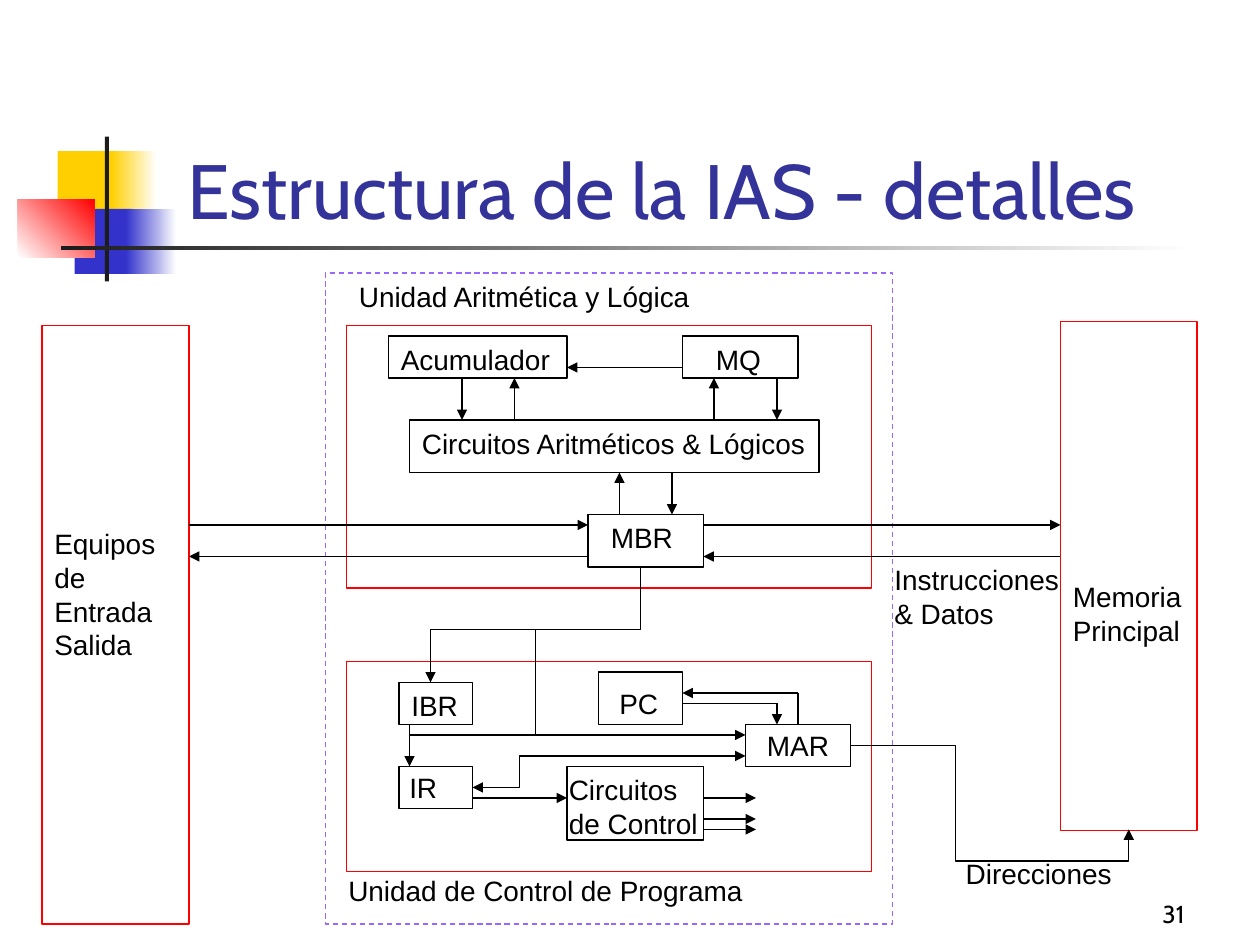
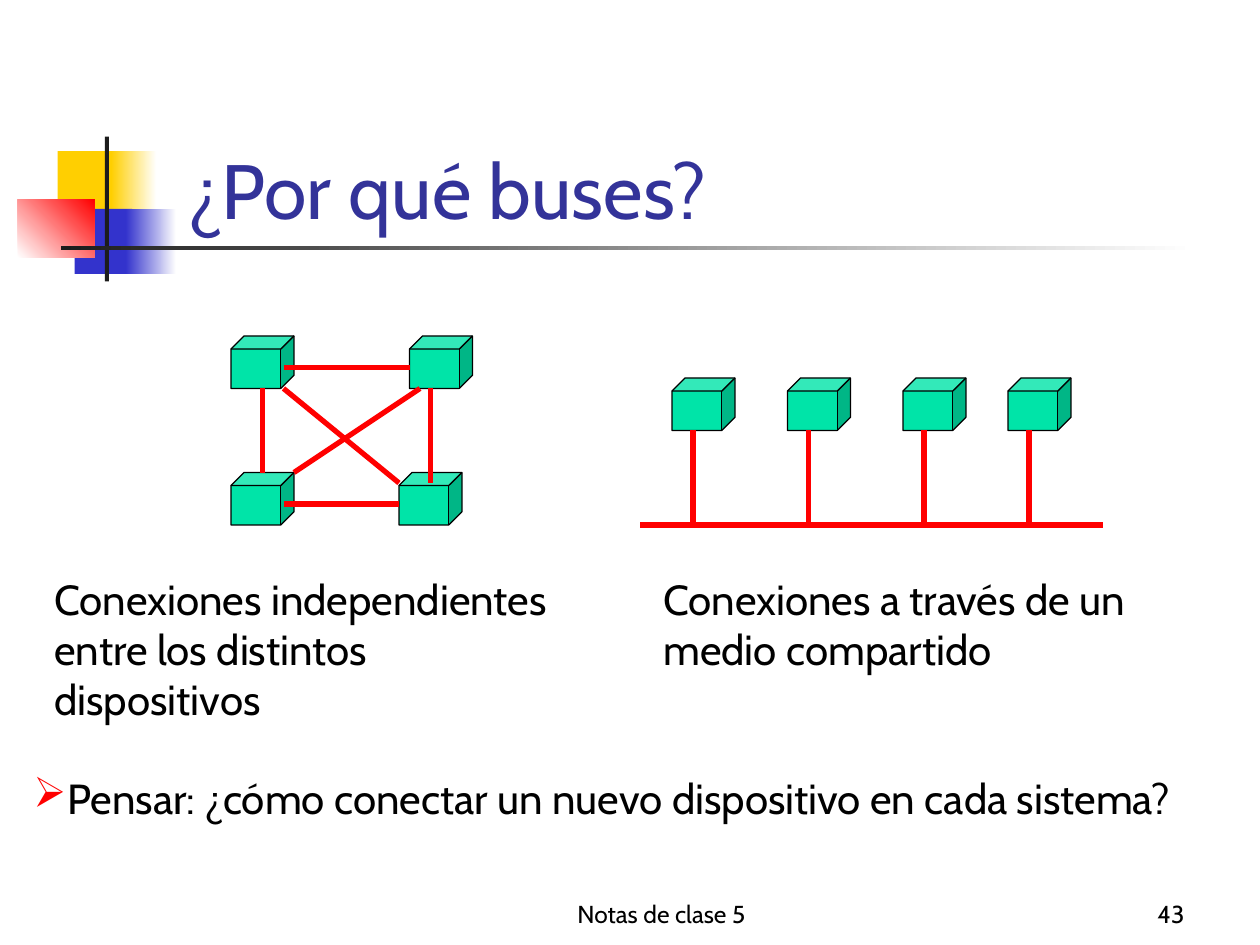
from lxml import etree
from pptx import Presentation
from pptx import util as u
from pptx.dml.color import RGBColor
from pptx.enum import dml, shapes, text
from pptx.oxml.ns import qn

COLUMNS, ROWS = 120, 90
COLORS = {
    "ink": "000000", "paper": "FFFFFF", "title": "333399", "rule": "1C1C1C",
    "yellow": "FFCF01", "blue": "3333CC", "red": "FF0000",
    "violet": "9966FF", "device": "00E4A8",
}
LEFT, CENTER, RIGHT = text.PP_ALIGN.LEFT, text.PP_ALIGN.CENTER, text.PP_ALIGN.RIGHT
TOP, BOTTOM = text.MSO_ANCHOR.TOP, text.MSO_ANCHOR.BOTTOM
RECT, CUBE = shapes.MSO_SHAPE.RECTANGLE, shapes.MSO_SHAPE.CUBE


def rgb(name):
    return RGBColor.from_string(COLORS[name])


class Deck:
    """Holds the style and the current slide; lengths are cells of a 120 x 90 grid."""

    def __init__(self):
        self.deck = Presentation()
        self.deck.slide_width, self.deck.slide_height = u.Inches(10), u.Inches(7.5)
        self.cell = self.deck.slide_width / COLUMNS
        self.layout = self.deck.slide_layouts[5]
        self.page = None

    def grid(self, *cells):
        return [u.Emu(round(cell * self.cell)) for cell in cells]

    def add_page(self, title, number, footer=None):
        first = self.page is None
        self.page = self.deck.slides.add_slide(self.layout)
        if first:
            self.decorate_layout()
        holder = self.page.shapes.title
        holder.left, holder.top, holder.width, holder.height = self.grid(15.1, 8, 102.2, 15)
        self.set_words(holder.text_frame, title, 44, "Cabin", color="title", anchor=BOTTOM)
        holder.text_frame.margin_left = u.Inches(0.23)
        if footer:
            self.label((44, 83, 38, 6), footer, 14, "Cabin", CENTER, BOTTOM, wrap=True)
        self.label((89, 83, 25, 6), number, 14, "Cabin", RIGHT, BOTTOM, wrap=True)

    def decorate_layout(self):
        """Draw the squares and rules, then move them to the layout all slides share."""
        for holder in list(self.layout.placeholders):
            if holder.placeholder_format.idx:
                holder.element.getparent().remove(holder.element)
        bands = [
            ((5.5, 14.4, 5.8, 6.2), "yellow", None, 0),
            ((10.6, 14.4, 4.3, 6.2), "yellow", "paper", 0),
            ((7.1, 19.9, 5.5, 6.2), "blue", None, 0),
            ((12, 19.9, 4.8, 6.2), "blue", "paper", 0),
            ((1.7, 19, 7.3, 5.5), "paper", "red", 45),
            ((10, 13, 0.38, 13.8), "rule", None, 0),
            ((5.8, 23.4, 108, 0.38), "rule", "paper", 0),
        ]
        for place, start, end, angle in bands:
            band = self.shape(place, fill=start, line=None)
            if end:
                band.fill.gradient()
                band.fill.gradient_angle = angle
                for stop, color in zip(band.fill.gradient_stops, (start, end)):
                    stop.color.rgb = rgb(color)
            self.layout.shapes.element.append(band.element)

    def set_words(self, frame, words, size, font, align=LEFT, anchor=TOP, color="ink", wrap=True):
        frame.text = words
        frame.word_wrap = wrap
        frame.auto_size = text.MSO_AUTO_SIZE.NONE
        frame.vertical_anchor = anchor
        for para in frame.paragraphs:
            para.alignment = align
            for span in para.runs:
                span.font.size, span.font.name = u.Pt(size), font
                span.font.color.rgb = rgb(color)

    def label(self, place, words, size=16, font="Arial", align=LEFT, anchor=TOP, wrap=False):
        box = self.page.shapes.add_textbox(*self.grid(*place))
        self.set_words(box.text_frame, words, size, font, align, anchor, wrap=wrap)
        return box

    def caption(self, place, words):
        para = self.label(place, words, 24, "Cabin", wrap=True).text_frame.paragraphs[0]
        para.space_before = u.Pt(15)
        return para

    def bullet(self, para, sign, color, indent):
        props = para._p.get_or_add_pPr()
        props.set("marL", str(u.Inches(indent)))
        props.set("indent", str(-u.Inches(indent)))
        tint = etree.SubElement(props, qn("a:buClr"))
        etree.SubElement(tint, qn("a:srgbClr"), val=COLORS[color])
        etree.SubElement(props, qn("a:buChar"), char=sign)

    def shape(self, place, kind=RECT, fill=None, line="ink"):
        shape = self.page.shapes.add_shape(kind, *self.grid(*place))
        shape.shadow.inherit = False
        if fill:
            shape.fill.solid()
            shape.fill.fore_color.rgb = rgb(fill)
        else:
            shape.fill.background()
        if line:
            shape.line.color.rgb = rgb(line)
            shape.line.width = u.Pt(0.75)
        else:
            shape.line.fill.background()
        return shape

    def line(self, ends, color="ink", width=0.75, arrows=("tailEnd",),
             kind=shapes.MSO_CONNECTOR.STRAIGHT):
        line = self.page.shapes.add_connector(kind, *self.grid(*ends))
        line.line.color.rgb = rgb(color)
        line.line.width = u.Pt(width)
        props = line.element.spPr
        for arrow in arrows:
            etree.SubElement(props.find(qn("a:ln")), qn(f"a:{arrow}"), type="triangle")
        etree.SubElement(props, qn("a:effectLst"))
        return line

    def elbow(self, ends, bends, turn=0, arrows=("tailEnd",)):
        """Bent arrow; bends are shares of its frame, which is turned by whole degrees."""
        line = self.line(ends, arrows=arrows, kind=shapes.MSO_CONNECTOR.ELBOW)
        props = line.element.spPr
        if turn:
            props.find(qn("a:xfrm")).set("rot", str(turn * 60000))
        preset = props.find(qn("a:prstGeom"))
        preset.set("prst", f"bentConnector{len(bends) + 2}")
        guides = preset.find(qn("a:avLst"))
        if guides is None:
            guides = etree.SubElement(preset, qn("a:avLst"))
        for index, bend in enumerate(bends, 1):
            name = f"adj{index}"
            etree.SubElement(guides, qn("a:gd"), name=name, fmla=f"val {round(bend * 100000)}")

    def cable(self, *ends):
        self.line(ends, "red", 3, arrows=())

    def device(self, left, top):
        self.shape((left, top, 6, 5), CUBE, "device")


def add_ias_structure(deck):
    deck.add_page("Estructura de la IAS - detalles", "31")
    processor = deck.shape((31, 26, 54, 62), fill="paper", line="violet")
    processor.line.dash_style = dml.MSO_LINE.DASH

    devices, arithmetic = (4, 31, 14, 57), (33, 31, 50, 25)
    control, memory = (33, 63, 50, 20), (101, 30.6, 13, 48.5)
    for unit in (devices, arithmetic, control, memory):
        deck.shape(unit, line="red")

    registers = [
        (56, 49, 11, 5), (39, 40, 39, 5), (37, 32, 17, 4), (65, 32, 11, 4),
        (38, 65, 7, 4), (38, 73, 7, 4), (54, 73, 13, 7), (57, 64, 8, 5),
    ]
    for register in registers:
        deck.shape(register)
    address = deck.shape((71, 69, 10, 4))
    deck.set_words(address.text_frame, "MAR", 16, "Arial", CENTER, text.MSO_ANCHOR.MIDDLE,
                   wrap=False)

    labels = [
        (101, 54.6, 12.7, "Memoria\nPrincipal"),
        (33, 26, 34, "Unidad Aritmética y Lógica"),
        (32, 82.6, 41, "Unidad de Control de Programa"),
        (4, 49.6, 12.7, "Equipos\nde\nEntrada\nSalida"),
        (57, 49, 8.3, "MBR"),
        (39, 40, 39, "Circuitos Aritméticos & Lógicos"),
        (67, 32, 6.6, "MQ"),
        (37, 32, 16.6, "Acumulador"),
        (53, 73, 14.6, "Circuitos\nde Control"),
        (38, 65, 6.8, "IBR"),
        (37.8, 72.8, 5, "IR"),
        (57.8, 64.8, 6.1, "PC"),
        (90.8, 81, 16.3, "Direcciones"),
        (84, 53, 18, "Instrucciones\n& Datos"),
    ]
    for left, top, width, words in labels:
        lines = words.count("\n") + 1
        deck.label((left, top, width, 1.2 + 3.2 * lines), words)

    arrows = [
        (18, 50, 56, 50), (67, 50, 101, 50), (101, 53, 67, 53), (56, 53, 18, 53),
        (59, 49, 59, 45), (64, 45, 64, 49),
        (44, 36, 44, 40), (49, 40, 49, 36), (68, 40, 68, 36), (74, 36, 74, 40),
        (65, 35, 54, 35),
        (39, 69, 39, 73), (45, 76, 54, 76), (39, 70, 71, 70),
        (76, 66, 65, 66), (74, 67, 74, 69),
    ]
    control_signals = [(67, row, 72, row) for row in (76, 78, 79)]
    for ends in arrows + control_signals:
        deck.line(ends)
    for ends in [(76, 66, 76, 69), (74, 67, 65, 67), (51, 60, 51, 70)]:
        deck.line(ends, arrows=())
    deck.elbow((81, 71, 107.5, 79), (0.377, 1.375))
    deck.elbow((45, 75, 71, 72), (0.171,), arrows=("headEnd", "tailEnd"))
    deck.elbow((45.5, 49.5, 56.5, 69.5), (0.54,), turn=90)


def add_why_buses(deck):
    deck.add_page("¿Por qué buses?", "43", "Notas de clase 5")
    for left, top in [(22, 32), (39, 32), (22, 45), (38, 45)]:
        deck.device(left, top)
    mesh = [
        (25, 37, 25, 45), (27, 35, 39, 35), (41, 37, 41, 46),
        (27, 48, 38, 48), (28, 45, 40, 37), (27, 37, 38, 46),
    ]
    for ends in mesh:
        deck.cable(*ends)

    bus_row = 50
    deck.cable(61, bus_row, 105, bus_row)
    for left in (64, 75, 86, 96):
        deck.device(left, 36)
        deck.cable(left + 2, 41, left + 2, bus_row)

    deck.caption((4, 54, 51, 15.6), "Conexiones independientes entre los distintos dispositivos")
    deck.caption((62, 54, 55, 10.8), "Conexiones a través de un medio compartido")
    question = deck.caption(
        (2, 73, 118, 10.8), "Pensar: ¿cómo conectar un nuevo dispositivo en cada sistema?")
    deck.bullet(question, "➢", "red", 0.27)


def main():
    deck = Deck()
    add_ias_structure(deck)
    add_why_buses(deck)
    deck.deck.save("out.pptx")


if __name__ == "__main__":
    main()
